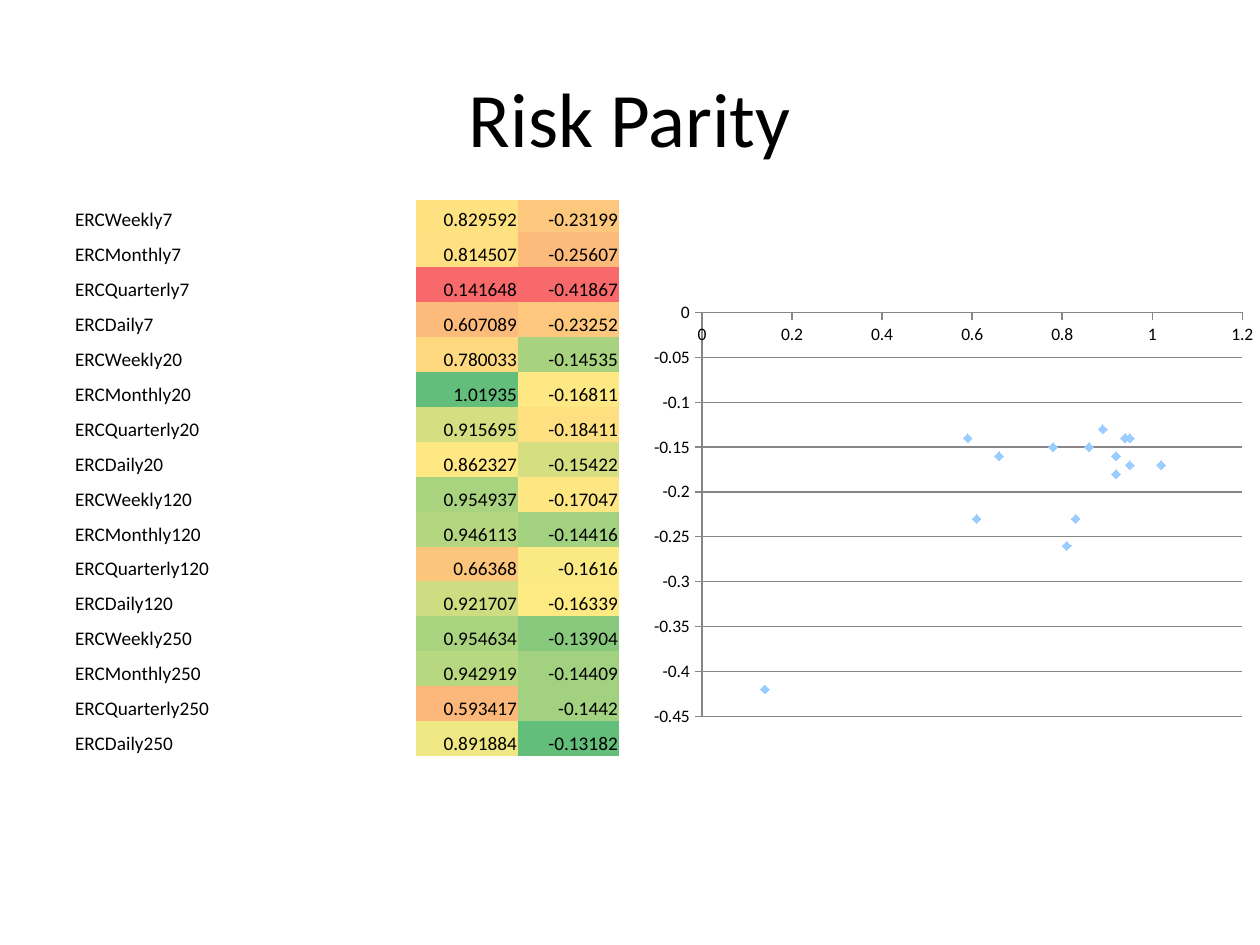
from pptx import Presentation
from pptx.chart.data import XyChartData
from pptx.dml.color import RGBColor
from pptx.enum.chart import XL_CHART_TYPE, XL_MARKER_STYLE, XL_TICK_MARK
from pptx.enum.text import MSO_ANCHOR, PP_ALIGN
from pptx.oxml import parse_xml
from pptx.oxml.ns import nsdecls, qn
from pptx.util import Pt

SCATTER = XL_CHART_TYPE.XY_SCATTER
DIAMOND = XL_MARKER_STYLE.DIAMOND
OUT, NONE = XL_TICK_MARK.OUTSIDE, XL_TICK_MARK.NONE
BOTTOM, MIDDLE = MSO_ANCHOR.BOTTOM, MSO_ANCHOR.MIDDLE
LEFT, RIGHT, CENTER = PP_ALIGN.LEFT, PP_ALIGN.RIGHT, PP_ALIGN.CENTER
PX = 914400 // 126
PLAIN = "{2D5ABB26-0587-4C30-8999-92F81FD0307C}"


def color(code):
    return RGBColor.from_string(code)


def style(font, size):
    for key, val in {"name": "Calibri", "size": Pt(size)}.items():
        setattr(font, key, val)
    font.color.rgb = color("000000")


rows = [
    ("ERCWeekly7", "0.829592", "FEE282", "-0.23199", "FDC77D"),
    ("ERCMonthly7", "0.814507", "FEDF81", "-0.25607", "FCBB7A"),
    ("ERCQuarterly7", "0.141648", "F8696B", "-0.41867", "F8696B"),
    ("ERCDaily7", "0.607089", "FCBB7A", "-0.23252", "FDC77D"),
    ("ERCWeekly20", "0.780033", "FED980", "-0.14535", "A8D27F"),
    ("ERCMonthly20", "1.01935", "63BE7B", "-0.16811", "FEE883"),
    ("ERCQuarterly20", "0.915695", "D5DF82", "-0.18411", "FEE081"),
    ("ERCDaily20", "0.862327", "FEE883", "-0.15422", "D5DF82"),
    ("ERCWeekly120", "0.954937", "AAD380", "-0.17047", "FEE683"),
    ("ERCMonthly120", "0.946113", "B4D680", "-0.14416", "A2D17F"),
    ("ERCQuarterly120", "0.66368", "FCC57C", "-0.1616", "FBEA84"),
    ("ERCDaily120", "0.921707", "CFDD82", "-0.16339", "FEEA83"),
    ("ERCWeekly250", "0.954634", "AAD380", "-0.13904", "88C97E"),
    ("ERCMonthly250", "0.942919", "B7D780", "-0.14409", "A2D17F"),
    ("ERCQuarterly250", "0.593417", "FCB87A", "-0.1442", "A2D17F"),
    ("ERCDaily250", "0.891884", "EFE784", "-0.13182", "63BE7B"),
]

deck = Presentation()
deck.slide_width, deck.slide_height = 1260 * PX, 945 * PX
slide = deck.slides.add_slide(deck.slide_layouts[5])

title = slide.shapes.title
box = {"left": 63, "top": 38, "width": 1134, "height": 157}
for key, val in box.items():
    setattr(title, key, val * PX)
title.text_frame.text = "Risk Parity"
title.text_frame.vertical_anchor = MIDDLE
para = title.text_frame.paragraphs[0]
para.alignment = CENTER
style(para.runs[0].font, 44)

data = XyChartData()
series = data.add_series("")
for name, ratio, tint, loss, shade in rows:
    series.add_data_point(round(float(ratio), 2), round(float(loss), 2))
chart = slide.shapes.add_chart(
    SCATTER, 638 * PX, 295 * PX, 711 * PX, 439 * PX, data).chart
chart.has_legend = False
chart.has_title = False
style(chart.font, 10)

plot = chart.plots[0]
plot.vary_by_categories = False
dots = plot.series[0]
dots.smooth = False
dots.format.line.fill.background()
dots.marker.style = DIAMOND
dots.marker.size = 5
dots.marker.format.fill.solid()
dots.marker.format.fill.fore_color.rgb = color("99CCFF")
dots.marker.format.line.fill.background()

scales = [
    (chart.category_axis, 0, 1.2, 0.2, False),
    (chart.value_axis, -0.45, 0, 0.05, True),
]
for axis, low, high, step, grid in scales:
    form = {
        "minimum_scale": low, "maximum_scale": high, "major_unit": step,
        "has_major_gridlines": grid, "has_minor_gridlines": False,
        "major_tick_mark": OUT, "minor_tick_mark": NONE, "has_title": False,
    }
    for key, val in form.items():
        setattr(axis, key, val)
    axis.tick_labels.number_format = "General"
    axis.tick_labels.number_format_is_linked = False
    lines = [axis.format.line]
    if grid:
        lines.append(axis.major_gridlines.format.line)
    for line in lines:
        line.color.rgb = color("868686")
        line.width = Pt(0.75)

area = chart.element.find(".//" + qn("c:plotArea"))
for old in area.findall(qn("c:layout")):
    area.remove(old)
sizes = {"x": 0.09, "y": 0.04, "w": 0.76, "h": 0.92}
parts = '<c:layoutTarget val="inner"/><c:xMode val="edge"/><c:yMode val="edge"/>'
parts += "".join(f'<c:{key} val="{val}"/>' for key, val in sizes.items())
area.insert(0, parse_xml(
    f'<c:layout {nsdecls("c")}><c:manualLayout>{parts}</c:manualLayout></c:layout>'))

frame = slide.shapes.add_table(
    len(rows), 3, 74 * PX, 200 * PX, 545 * PX, 556 * PX)
table = frame.table
table.first_row = table.horz_banding = False
frame.element.find(".//" + qn("a:tableStyleId")).text = PLAIN
for col, width in zip(table.columns, (342, 102, 101)):
    col.width = width * PX

highs = [32] + [35] * 9 + [34] + [35] * 5
pads = {"margin_left": PX, "margin_right": PX, "margin_top": PX,
        "margin_bottom": 0, "vertical_anchor": BOTTOM}
for i, (name, ratio, tint, loss, shade) in enumerate(rows):
    table.rows[i].height = highs[i] * PX
    cells = [(name, None, LEFT), (ratio, tint, RIGHT), (loss, shade, RIGHT)]
    for j, (text, fill, align) in enumerate(cells):
        cell = table.cell(i, j)
        for key, val in pads.items():
            setattr(cell, key, val)
        if fill:
            cell.fill.solid()
            cell.fill.fore_color.rgb = color(fill)
        else:
            cell.fill.background()
        cell.text = text
        para = cell.text_frame.paragraphs[0]
        para.alignment = align
        style(para.runs[0].font, 11)

deck.save("out.pptx")
